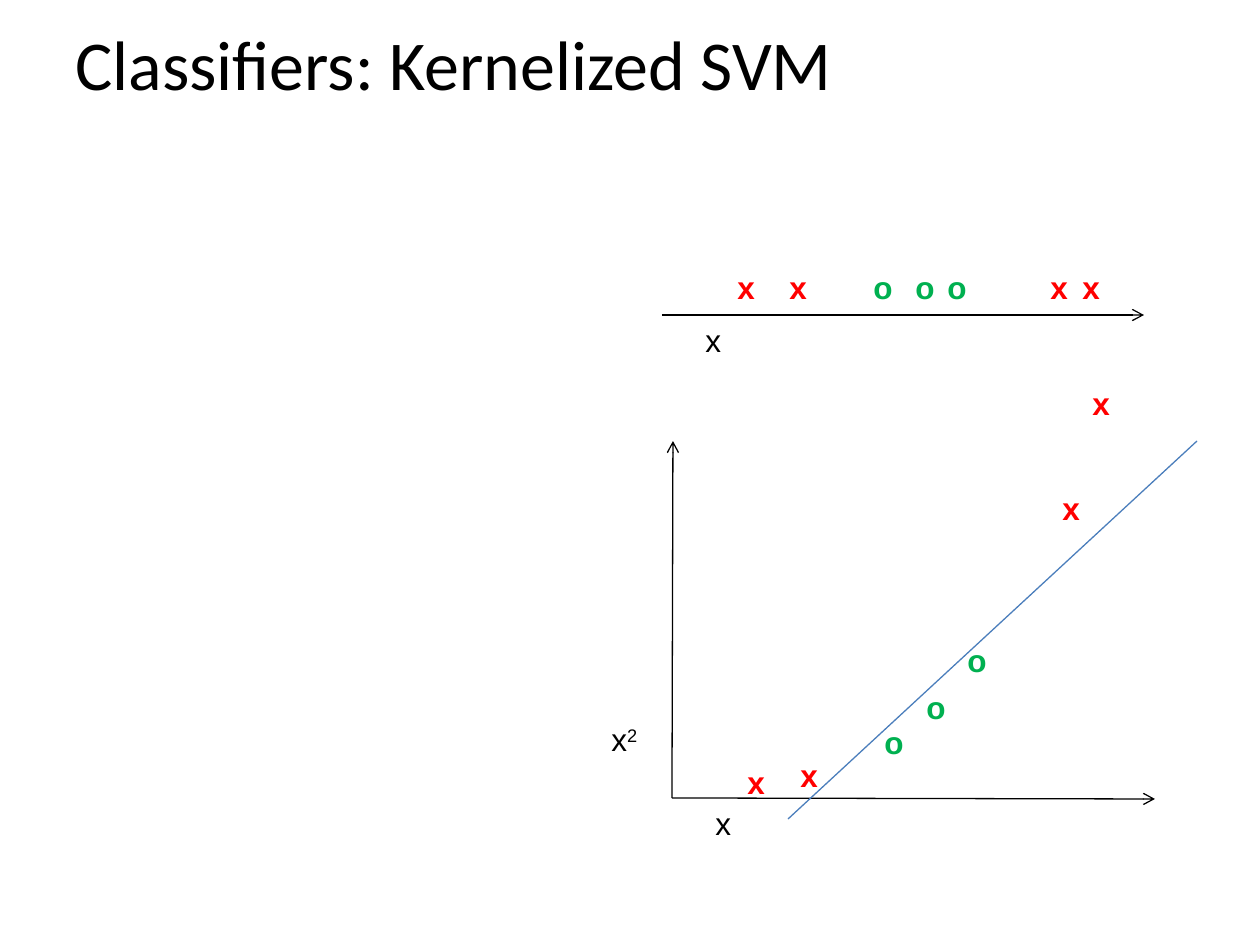
from lxml import etree
from pptx import Presentation
from pptx import util as u
from pptx.dml.color import RGBColor
from pptx.enum import shapes, text
from pptx.oxml.ns import qn

PX = 914400 / 126
COLORS = {"black": "000000", "red": "FF0000", "green": "00B050", "blue": "4B7EBC"}
MARKS = {"x": ("red", 43), "o": ("green", 45)}
LINE_POINTS = {"x": [(1070, 262), (777, 262), (1038, 262), (725, 262)],
               "o": [(935, 262), (861, 262), (903, 262)]}
PLANE_POINTS = {"x": [(1080, 378), (788, 750), (1050, 483), (735, 757)],
                "o": [(955, 635), (872, 717), (914, 682)]}


def px(n):
    return u.Emu(round(n * PX))


def rgb(name):
    return RGBColor.from_string(COLORS[name])


def add_text(parent, txt, x, y, w, h=50, size=18, font="Arial", color="black",
             bold=False, sup="", wrap=False, anchor=text.MSO_ANCHOR.TOP):
    tf = parent.shapes.add_textbox(px(x), px(y), px(w), px(h)).text_frame
    tf.word_wrap = wrap
    tf.vertical_anchor = anchor
    p = tf.paragraphs[0]
    for part in filter(None, (txt, sup)):
        r = p.add_run()
        r.text = part
        r.font.size, r.font.name, r.font.bold = u.Pt(size), font, bold
        r.font.color.rgb = rgb(color)
    if sup:
        r.font._element.set("baseline", "30000")


def add_line(parent, start, end, color="black", arrow=True):
    cn = parent.shapes.add_connector(
        shapes.MSO_CONNECTOR.STRAIGHT, *(px(n) for n in start + end))
    cn.line.color.rgb = rgb(color)
    cn.line.width = u.Pt(0.75)
    if arrow:
        etree.SubElement(cn.line._get_or_add_ln(), qn("a:tailEnd"), type="arrow")
    etree.SubElement(cn._element.spPr, qn("a:effectLst"))


def add_points(parent, points):
    for mark, places in points.items():
        color, w = MARKS[mark]
        for x, y in places:
            add_text(parent, mark, x, y, w, color=color, bold=True)


def add_number_line(s):
    g = s.shapes.add_group_shape()
    add_line(g, (662, 315), (1144, 315))
    add_points(g, LINE_POINTS)
    add_text(g, "x", 693, 315, 42)


def add_plane(s):
    g = s.shapes.add_group_shape()
    add_line(g, (672, 798), (1155, 799))
    add_points(g, PLANE_POINTS)
    add_text(g, "x", 703, 798, 42)
    add_line(g, (672, 798), (673, 441))
    add_text(g, "x", 599, 714, 53, sup="2")
    add_line(g, (1197, 441), (788, 819), color="blue", arrow=False)


def main():
    """Build the kernelized SVM slide."""
    prs = Presentation()
    prs.slide_width, prs.slide_height = px(1260), px(945)
    s = prs.slides.add_slide(prs.slide_layouts[6])
    add_text(s, "Classifiers: Kernelized SVM", 63, 0, 1134, 126, size=40,
             font="Calibri", wrap=True, anchor=text.MSO_ANCHOR.MIDDLE)
    add_number_line(s)
    add_plane(s)
    prs.save("out.pptx")


if __name__ == "__main__":
    main()
